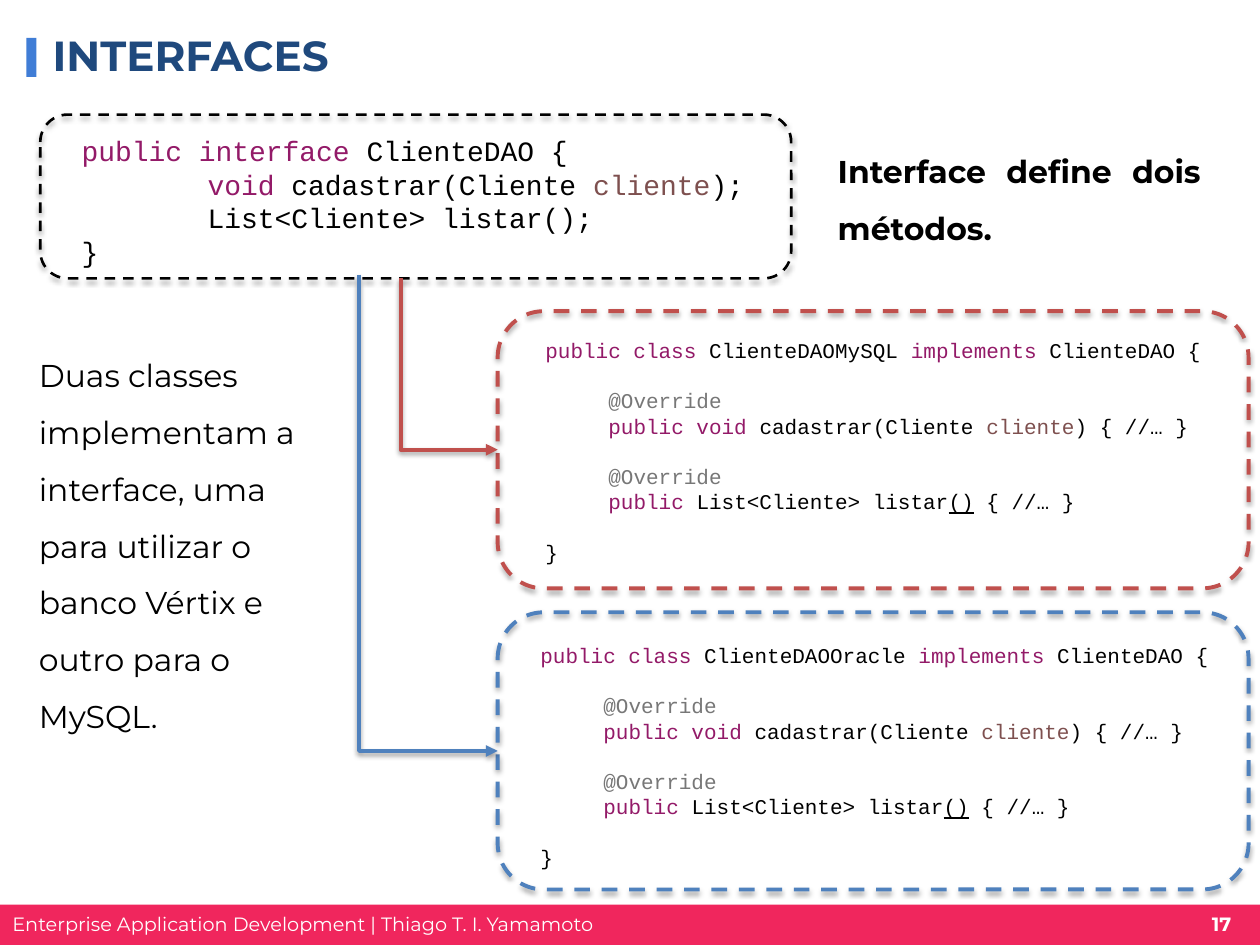
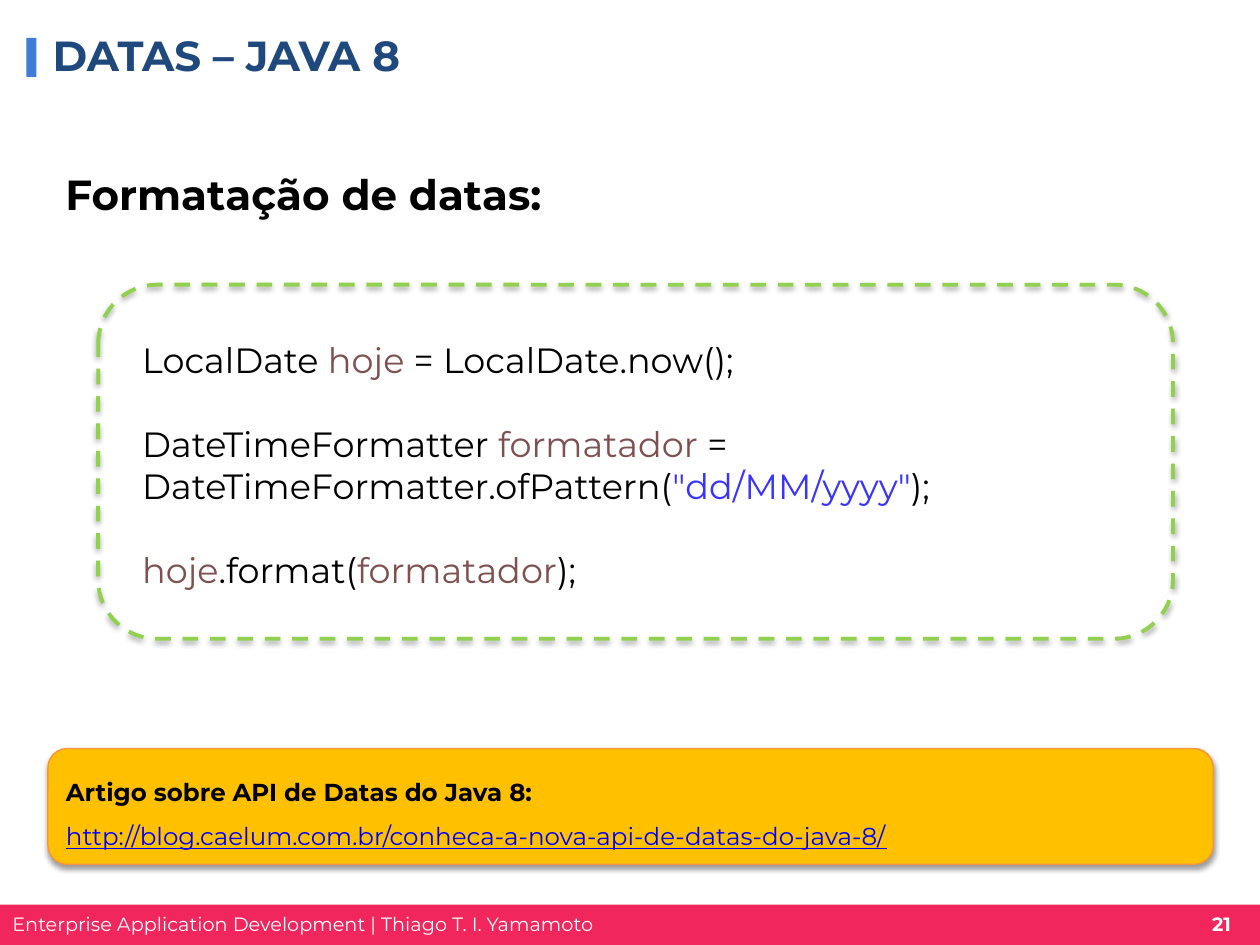
from dataclasses import dataclass

from lxml.etree import SubElement
from pptx import Presentation
from pptx.dml.color import RGBColor
from pptx.enum.dml import MSO_LINE
from pptx.enum.shapes import MSO_CONNECTOR, MSO_SHAPE
from pptx.enum.text import MSO_ANCHOR, PP_ALIGN
from pptx.oxml.ns import qn
from pptx.util import Inches, Pt


@dataclass(frozen=True)
class Theme:
    body_font: str = "Montserrat"
    code_font: str = "Courier New"
    footer_size: int = 11
    class_size: int = 12
    note_size: int = 14
    interface_size: int = 16
    body_size: int = 18
    sample_size: int = 20
    heading_size: int = 24
    black: str = "000000"
    white: str = "FFFFFF"
    band: str = "F0265D"
    marker: str = "407DD6"
    title: str = "1F497D"
    keyword: str = "931A68"
    variable: str = "7E504F"
    annotation: str = "777777"
    string: str = "3933FF"
    link: str = "0000FF"
    blue: str = "4F81BD"
    red: str = "C0504D"
    green: str = "92D050"
    note_fill: str = "FFC000"
    note_edge: str = "F69240"


THEME = Theme()


@dataclass(frozen=True)
class Span:
    text: str
    color: str = THEME.black
    bold: bool = False
    underline: bool = False


@dataclass(frozen=True)
class Line:
    """One paragraph; gap counts the line heights left free above it."""
    spans: tuple
    indent: float = 0
    gap: int = 0


def line(*spans, indent=0, gap=0):
    return Line(spans, indent, gap)


def keyword(text):
    return Span(text, THEME.keyword)


def variable(text):
    return Span(text, THEME.variable)


class SlideBuilder:
    LINE_HEIGHT = 1.2

    def __init__(self, deck, theme):
        self.deck = deck
        self.theme = theme
        self.slide = None

    def new_slide(self, title, number):
        theme = self.theme
        self.slide = self.deck.slides.add_slide(self.deck.slide_layouts[6])
        self.block((0, 7.18, 10, 0.33), theme.band)
        self.block((0.21, 0.3, 0.08, 0.31), theme.marker)
        self.text((0, 7.19, 4.87, 0.29),
                  [line(Span("Enterprise Application Development | Thiago T. I. Yamamoto",
                             theme.white))],
                  theme.footer_size, wrap=False)
        self.text((9.49, 7.19, 0.41, 0.29), [line(Span(number, theme.white, bold=True))],
                  theme.footer_size, align=PP_ALIGN.CENTER, wrap=False)
        self.text((0.32, 0.22, 8, 0.43), [line(Span(title, theme.title, bold=True))],
                  theme.heading_size, anchor=MSO_ANCHOR.MIDDLE)

    def add_shape(self, kind, box):
        return self.slide.shapes.add_shape(kind, *map(Inches, box))

    def block(self, box, color):
        block = self.add_shape(MSO_SHAPE.RECTANGLE, box)
        block.shadow.inherit = False
        block.fill.solid()
        block.fill.fore_color.rgb = RGBColor.from_string(color)
        block.line.fill.background()

    def frame(self, box, color, width=2.25):
        """Draw a dashed, unfilled rounded frame."""
        frame = self.add_shape(MSO_SHAPE.ROUNDED_RECTANGLE, box)
        frame.fill.background()
        self.stroke(frame, color, width)
        frame.line.dash_style = MSO_LINE.DASH
        self.drop_shadow(frame)

    def note(self, box, lines):
        note = self.add_shape(MSO_SHAPE.ROUNDED_RECTANGLE, box)
        note.fill.solid()
        note.fill.fore_color.rgb = RGBColor.from_string(self.theme.note_fill)
        self.stroke(note, self.theme.note_edge, 0.75)
        self.drop_shadow(note)
        self.fill_text(note.text_frame, lines, self.theme.note_size, spacing=1.5,
                       anchor=MSO_ANCHOR.MIDDLE)

    def bent_arrow(self, start, end, color):
        """Draw an arrow that runs down and then right."""
        (x1, y1), (x2, y2) = start, end
        drop, run = y2 - y1, x2 - x1
        left, top = (x1 + x2 - drop) / 2, (y1 + y2 - run) / 2
        arrow = self.slide.shapes.add_connector(
            MSO_CONNECTOR.ELBOW,
            *map(Inches, (left, top, left + drop, top + run)))
        properties = arrow._element.spPr
        properties.find(qn("a:prstGeom")).set("prst", "bentConnector2")
        transform = properties.find(qn("a:xfrm"))
        transform.set("rot", str(270 * 60000))
        transform.set("flipH", "1")
        self.stroke(arrow, color, 2.25)
        SubElement(properties.find(qn("a:ln")), qn("a:tailEnd"), type="triangle")
        self.drop_shadow(arrow)

    def stroke(self, shape, color, width):
        shape.line.color.rgb = RGBColor.from_string(color)
        shape.line.width = Pt(width)

    def drop_shadow(self, shape):
        effects = SubElement(shape._element.spPr, qn("a:effectLst"))
        shadow = SubElement(effects, qn("a:outerShdw"), blurRad=str(Pt(3.1)),
                            dist=str(Pt(1.6)), dir=str(90 * 60000), rotWithShape="0")
        tint = SubElement(shadow, qn("a:srgbClr"), val=self.theme.black)
        SubElement(tint, qn("a:alpha"), val="38000")

    def text(self, box, lines, size, wrap=True, **style):
        frame = self.slide.shapes.add_textbox(*map(Inches, box)).text_frame
        self.fill_text(frame, lines, size, wrap=wrap, **style)

    def fill_text(self, frame, lines, size, font=None, align=PP_ALIGN.LEFT, spacing=None,
                  anchor=MSO_ANCHOR.TOP, wrap=True):
        frame.word_wrap = wrap
        frame.vertical_anchor = anchor
        for index, content in enumerate(lines):
            paragraph = frame.add_paragraph() if index else frame.paragraphs[0]
            paragraph.alignment = align
            if content.indent:
                properties = paragraph._p.get_or_add_pPr()
                properties.set("marL", str(Inches(content.indent)))
                properties.set("indent", "0")
            if spacing:
                paragraph.line_spacing = spacing
            if content.gap:
                paragraph.space_before = Pt(content.gap * size * self.LINE_HEIGHT)
            for span in content.spans:
                run = paragraph.add_run()
                run.text = span.text
                run.font.name = font or self.theme.body_font
                run.font.size = Pt(size)
                run.font.bold = span.bold
                run.font.underline = span.underline
                run.font.color.rgb = RGBColor.from_string(span.color)


def dao_class_code(name):
    override = line(Span("@Override", THEME.annotation), indent=0.5, gap=1)
    return [
        line(keyword("public class "), Span(f"{name} "), keyword("implements "),
             Span("ClienteDAO {")),
        override,
        line(keyword("public void "), Span("cadastrar(Cliente "), variable("cliente"),
             Span(") { //… }"), indent=0.5),
        override,
        line(keyword("public"), Span(" List<Cliente> listar"), Span("()", underline=True),
             Span(" { //… }"), indent=0.5),
        line(Span("}"), gap=1),
    ]


def build_interfaces(builder):
    builder.new_slide("INTERFACES", "17")
    builder.frame((3.95, 4.86, 5.96, 2.2), THEME.blue)
    builder.frame((3.95, 2.47, 5.96, 2.2), THEME.red)
    builder.frame((0.32, 0.91, 5.96, 1.3), THEME.black, 1.5)

    interface_code = [
        line(keyword("public interface "), Span("ClienteDAO {")),
        line(keyword("void "), Span("cadastrar(Cliente "), variable("cliente"),
             Span(");"), indent=1),
        line(Span("List<Cliente> listar();"), indent=1),
        line(Span("}")),
    ]
    builder.text((0.55, 1.01, 5.98, 1.18), interface_code, THEME.interface_size,
                 font=THEME.code_font)
    for name, box in (("ClienteDAOMySQL", (4.23, 2.63, 5.53, 1.92)),
                      ("ClienteDAOOracle", (4.19, 5.05, 5.65, 1.92))):
        builder.text(box, dao_class_code(name), THEME.class_size, font=THEME.code_font)

    builder.bent_arrow((2.85, 2.18), (3.95, 5.96), THEME.blue)
    builder.bent_arrow((3.18, 2.21), (3.95, 3.57), THEME.red)

    builder.text((6.55, 1.01, 3.08, 2.1),
                 [line(Span("Interface define dois métodos.", bold=True))],
                 THEME.body_size, align=PP_ALIGN.JUSTIFY, spacing=1.5)
    builder.text((0.21, 2.63, 2.37, 3.61),
                 [line(Span("Duas classes implementam a interface, uma para utilizar o "
                            "banco Vértix e outro para o MySQL."))],
                 THEME.body_size, spacing=1.5)


def build_dates(builder):
    builder.new_slide("DATAS – JAVA 8", "21")
    builder.text((0.42, 1.01, 9.2, 0.92),
                 [line(Span("Formatação de datas:", bold=True))],
                 THEME.heading_size, align=PP_ALIGN.JUSTIFY, spacing=1.7)
    builder.note((0.38, 5.94, 9.25, 0.92), [
        line(Span("Artigo sobre API de Datas do Java 8:", bold=True)),
        line(Span("http://blog.caelum.com.br/conheca-a-nova-api-de-datas-do-java-8/",
                  THEME.link, underline=True)),
    ])
    builder.text((1.03, 2.64, 8.35, 2.12), [
        line(Span("LocalDate "), variable("hoje"), Span(" = LocalDate.now();")),
        line(Span("DateTimeFormatter "), variable("formatador"), Span(" ="), gap=1),
        line(Span("DateTimeFormatter.ofPattern("), Span('"dd/MM/yyyy"', THEME.string),
             Span(");")),
        line(variable("hoje"), Span(".format("), variable("formatador"), Span(");"), gap=1),
    ], THEME.sample_size)
    builder.frame((0.78, 2.26, 8.53, 2.81), THEME.green)


def main():
    deck = Presentation()
    deck.slide_width, deck.slide_height = Inches(10), Inches(7.5)
    builder = SlideBuilder(deck, THEME)
    build_interfaces(builder)
    build_dates(builder)
    deck.save("out.pptx")


if __name__ == "__main__":
    main()
